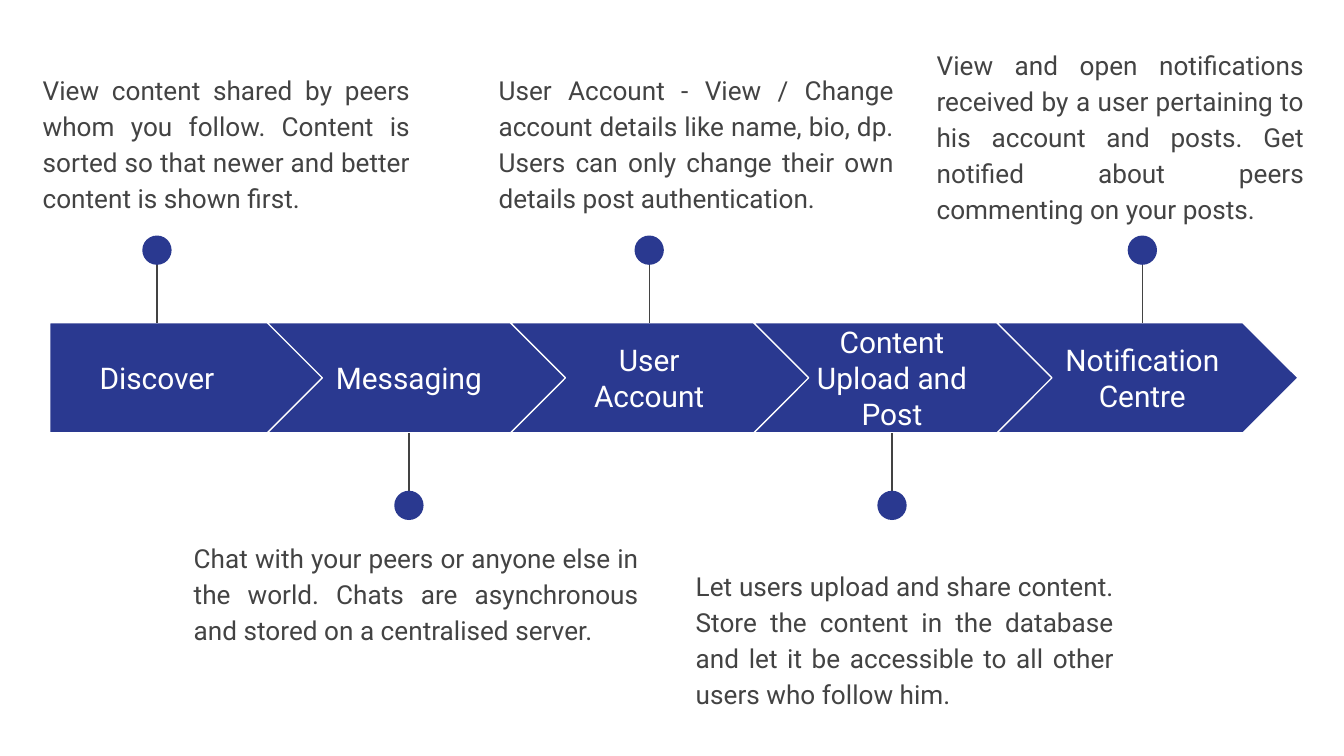
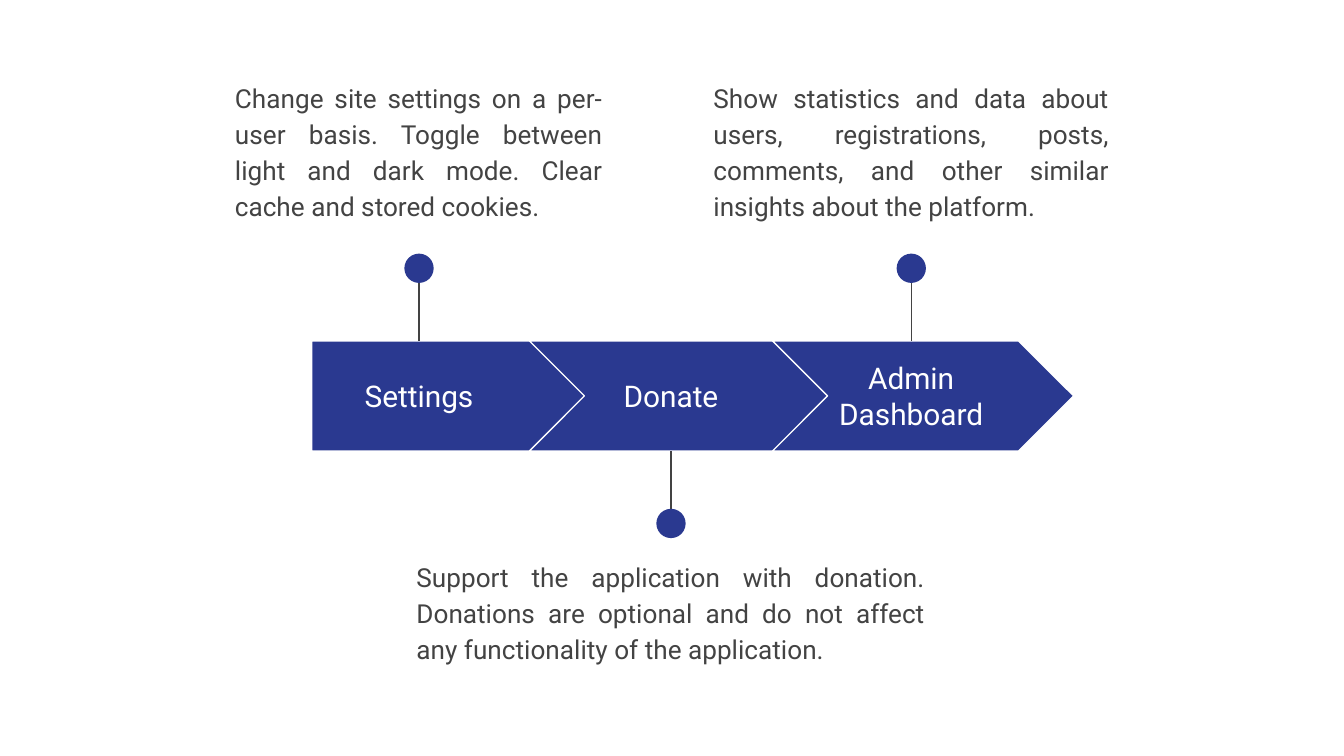
from lxml import etree
from pptx import Presentation
from pptx.dml.color import RGBColor
from pptx.enum.shapes import MSO_CONNECTOR, MSO_SHAPE
from pptx.enum.text import MSO_ANCHOR, PP_ALIGN
from pptx.oxml.ns import qn
from pptx.util import Pt

PENTAGON, CHEVRON, OVAL = MSO_SHAPE.PENTAGON, MSO_SHAPE.CHEVRON, MSO_SHAPE.OVAL
STRAIGHT = MSO_CONNECTOR.STRAIGHT
TOP, MIDDLE = MSO_ANCHOR.TOP, MSO_ANCHOR.MIDDLE
CENTER, JUSTIFY = PP_ALIGN.CENTER, PP_ALIGN.JUSTIFY

# Content: each step is (label, description, left, top, width of description)
BANDS = [
    {"left": 26.6, "top": 172.9, "steps": [
        ("Discover",
         "View content shared by peers whom you follow. Content is sorted so that "
         "newer and better content is shown first.", 15.8, 30.2, 211),
        ("Messaging",
         "Chat with your peers or anyone else in the world. Chats are asynchronous "
         "and stored on a centralised server.", 96.7, 280.8, 252.6),
        ("User Account",
         "User Account - View / Change account details like name, bio, dp. Users can "
         "only change their own details post authentication.", 260, 30.2, 226),
        ("Content Upload and Post",
         "Let users upload and share content. Store the content in the database and "
         "let it be accessible to all other users who follow him.", 365.6, 295.9, 238.2),
        ("Notification Centre",
         "View and open notifications received by a user pertaining to his account "
         "and posts. Get notified about peers commenting on your posts.",
         494.7, 16.6, 211),
    ]},
    {"left": 167, "top": 182.6, "steps": [
        ("Settings",
         "Change site settings on a per-user basis. Toggle between light and dark "
         "mode. Clear cache and stored cookies.", 118.8, 34.6, 211),
        ("Donate",
         "Support the application with donation. Donations are optional and do not "
         "affect any functionality of the application.", 216, 290.9, 286.6),
        ("Admin Dashboard",
         "Show statistics and data about users, registrations, posts, comments, and "
         "other similar insights about the platform.", 375.1, 34.6, 226),
    ]},
]

# Shared look
COLORS = {"band": "2A3990", "white": "FFFFFF", "ink": "434343"}
FONT = "Roboto"
PAGE_WIDTH, PAGE_HEIGHT = 720, 405
BAND_HEIGHT = 59
FIRST_WIDTH, CHEVRON_WIDTH = 147.6, 161.3
CHEVRON_START, CHEVRON_PITCH = 116.6, 130.3
STEP_CENTERS = [57.5, 192.5, 321.2, 451.3, 585.4]
LABEL_HEIGHT, DESCRIPTION_HEIGHT = 36.7, 71.3
INSET = 7.2
DOT = 15.7
DOT_GAP = 31
STEM_LENGTH = 43.8


def color(name):
    return RGBColor.from_string(COLORS[name])


def add_preset(shapes, kind, left, top, width, height, outline=None):
    shape = shapes.add_shape(kind, Pt(left), Pt(top), Pt(width), Pt(height))
    shape.shadow.inherit = False
    shape.fill.solid()
    shape.fill.fore_color.rgb = color("band")
    if outline:
        shape.line.color.rgb = color(outline)
        shape.line.width = Pt(0.75)
    else:
        shape.line.fill.background()
    return shape


def add_text(page, text, left, top, width, height, size, tint, align, anchor):
    box = page.shapes.add_textbox(Pt(left), Pt(top), Pt(width), Pt(height))
    frame = box.text_frame
    frame.word_wrap = True
    frame.vertical_anchor = anchor
    frame.margin_left = frame.margin_right = Pt(INSET)
    frame.margin_top = frame.margin_bottom = Pt(INSET)
    para = frame.paragraphs[0]
    para.alignment = align
    span = para.add_run()
    span.text = text
    span.font.name = FONT
    span.font.size = Pt(size)
    span.font.color.rgb = color(tint)
    return para


def add_pin(page, center, band_top, upward):
    """A stem from the band with a dot at its far end."""
    if upward:
        edge, direction = band_top, -1
        dot_top = edge - DOT_GAP - DOT
    else:
        edge, direction = band_top + BAND_HEIGHT, 1
        dot_top = edge + DOT_GAP
    group = page.shapes.add_group_shape()
    stem = group.shapes.add_connector(
        STRAIGHT, Pt(center), Pt(edge + direction * STEM_LENGTH), Pt(center), Pt(edge))
    stem.line.color.rgb = color("ink")
    stem.line.width = Pt(0.75)
    etree.SubElement(stem.line._get_or_add_ln().getparent(), qn("a:effectLst"))
    add_preset(group.shapes, OVAL, center - DOT / 2, dot_top, DOT, DOT)


def add_step(page, band, index, step):
    label, description, text_left, text_top, text_width = step
    left, top = band["left"], band["top"]
    center = left + STEP_CENTERS[index]

    # Arrow segment: a pentagon first, then evenly spaced chevrons
    if index == 0:
        add_preset(page.shapes, PENTAGON, left, top, FIRST_WIDTH, BAND_HEIGHT, "white")
        label_width = 114.5
    else:
        segment_left = left + CHEVRON_START + (index - 1) * CHEVRON_PITCH
        add_preset(page.shapes, CHEVRON, segment_left, top,
                   CHEVRON_WIDTH, BAND_HEIGHT, "white")
        label_width = 103.7
    add_text(page, label, center - label_width / 2,
             top + (BAND_HEIGHT - LABEL_HEIGHT) / 2, label_width, LABEL_HEIGHT,
             16, "white", CENTER, MIDDLE)

    # Pins alternate above and below the band
    add_pin(page, center, top, upward=index % 2 == 0)
    para = add_text(page, description, text_left, text_top, text_width,
                    DESCRIPTION_HEIGHT, 14, "ink", JUSTIFY, TOP)
    para.line_spacing = 1.15
    para.space_after = Pt(16)


def main():
    deck = Presentation()
    deck.slide_width, deck.slide_height = Pt(PAGE_WIDTH), Pt(PAGE_HEIGHT)
    for band in BANDS:
        page = deck.slides.add_slide(deck.slide_layouts[6])
        page.background.fill.solid()
        page.background.fill.fore_color.rgb = color("white")
        for index, step in enumerate(band["steps"]):
            add_step(page, band, index, step)
    deck.save("out.pptx")


if __name__ == "__main__":
    main()
